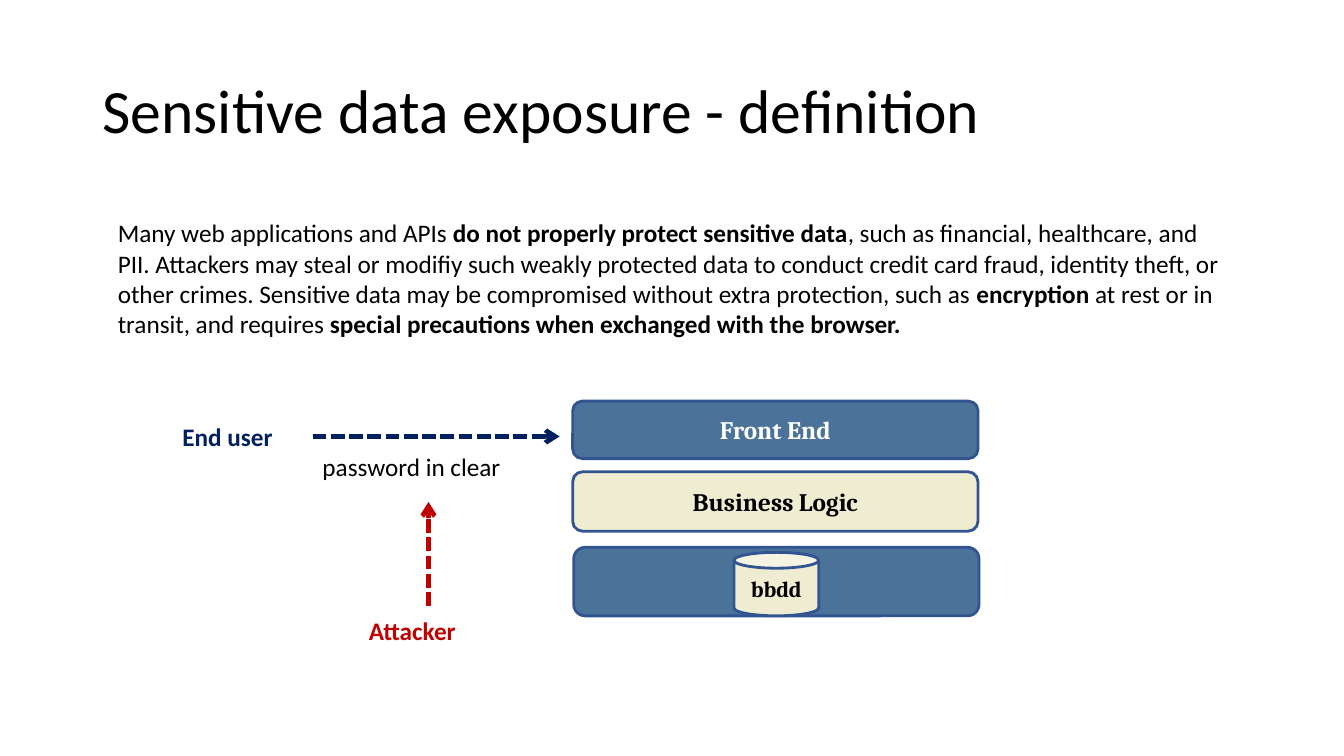
"""Build the slide that defines sensitive data exposure."""
from dataclasses import dataclass
from typing import Any

from lxml.etree import SubElement
from pptx import Presentation
from pptx.dml.color import RGBColor
from pptx.enum.dml import MSO_LINE
from pptx.enum.shapes import MSO_CONNECTOR, MSO_SHAPE
from pptx.enum.text import MSO_ANCHOR, PP_ALIGN
from pptx.oxml.ns import qn
from pptx.util import Inches, Pt

BLACK, WHITE, NAVY, RED = "000000", "FFFFFF", "002060", "C00000"
STEEL, CREAM, OUTLINE = "4B7399", "EFEDD1", "325491"


@dataclass(frozen=True)
class Box:
    left: float
    top: float
    width: float
    height: float

    def lengths(self) -> list[int]:
        return [Inches(value) for value in (self.left, self.top, self.width, self.height)]


@dataclass(frozen=True)
class Label:
    box: Box
    runs: tuple[tuple[str, bool], ...]
    color: str = BLACK
    size: int = 18
    anchor: MSO_ANCHOR = MSO_ANCHOR.TOP
    line_spacing: float = 1.0


@dataclass(frozen=True)
class Layer:
    box: Box
    fill: str
    text: str = ""
    color: str = BLACK
    size: int = 18
    preset: MSO_SHAPE = MSO_SHAPE.ROUNDED_RECTANGLE
    adjustment: float = 0.167


@dataclass(frozen=True)
class Arrow:
    start: tuple[float, float]
    end: tuple[float, float]
    color: str


LABELS = [
    Label(Box(1.07, 2.11, 11.16, 1.6), (
        ("Many web applications and APIs ", False),
        ("do not properly protect sensitive data", True),
        (", such as financial, healthcare, and PII. Attackers may steal or modifiy such "
         "weakly protected data to conduct credit card fraud, identity theft, or other "
         "crimes. Sensitive data may be compromised without extra protection, such as ", False),
        ("encryption", True),
        (" at rest or in transit, and requires ", False),
        ("special precautions when exchanged with the browser.", True),
    )),
    Label(Box(1.71, 4.13, 2.25, 0.4), (("End user", True),), NAVY),
    Label(Box(3.1, 4.43, 2.71, 0.4), (("password in clear", False),)),
    Label(Box(3.56, 6.06, 2.25, 0.4), (("Attacker", True),), RED),
    Label(Box(0.92, 0.4, 11.5, 1.45), (("Sensitive data exposure - definition", False),),
          size=44, anchor=MSO_ANCHOR.MIDDLE, line_spacing=0.9),
]
LAYERS = [
    Layer(Box(5.69, 5.43, 4.02, 0.68), STEEL),
    Layer(Box(7.28, 5.48, 0.84, 0.63), CREAM, "bbdd", size=16,
          preset=MSO_SHAPE.CAN, adjustment=0.25),
    Layer(Box(5.68, 4.68, 4.02, 0.59), CREAM, "Business Logic"),
    Layer(Box(5.68, 3.98, 4.02, 0.57), STEEL, "Front End", WHITE),
]
ARROWS = [
    Arrow((3.1, 4.33), (5.55, 4.33), NAVY),
    Arrow((4.25, 6.01), (4.25, 4.98), RED),
]


def rgb(color: str) -> RGBColor:
    return RGBColor.from_string(color)


def apply_format(target: Any, values: dict[str, Any]) -> None:
    for name, value in values.items():
        setattr(target, name, value)


def add_run(paragraph: Any, text: str, color: str, values: dict[str, Any]) -> None:
    run = paragraph.add_run()
    run.text = text
    apply_format(run.font, values)
    run.font.color.rgb = rgb(color)


def draw_label(slide: Any, label: Label) -> None:
    frame = slide.shapes.add_textbox(*label.box.lengths()).text_frame
    apply_format(frame, {"word_wrap": True, "vertical_anchor": label.anchor})
    paragraph = frame.paragraphs[0]
    paragraph.line_spacing = label.line_spacing
    for text, bold in label.runs:
        values = {"name": "Calibri", "size": Pt(label.size), "bold": bold}
        add_run(paragraph, text, label.color, values)


def draw_layer(group: Any, layer: Layer) -> None:
    shape = group.shapes.add_shape(layer.preset, *layer.box.lengths())
    shape.shadow.inherit = False
    shape.adjustments[0] = layer.adjustment
    shape.fill.solid()
    shape.fill.fore_color.rgb = rgb(layer.fill)
    shape.line.color.rgb = rgb(OUTLINE)
    shape.line.width = Pt(2)
    if layer.text:
        frame = shape.text_frame
        apply_format(frame, {"word_wrap": True, "vertical_anchor": MSO_ANCHOR.MIDDLE})
        paragraph = frame.paragraphs[0]
        paragraph.alignment = PP_ALIGN.CENTER
        values = {"name": "Cambria", "size": Pt(layer.size), "bold": True}
        add_run(paragraph, layer.text, layer.color, values)


def draw_arrow(slide: Any, arrow: Arrow) -> None:
    points = [Inches(value) for value in (*arrow.start, *arrow.end)]
    connector = slide.shapes.add_connector(MSO_CONNECTOR.STRAIGHT, *points)
    connector.line.color.rgb = rgb(arrow.color)
    apply_format(connector.line, {"width": Pt(3.25), "dash_style": MSO_LINE.SQUARE_DOT})
    properties = connector.element.spPr
    SubElement(properties.find(qn("a:ln")), qn("a:tailEnd"), type="arrow")
    SubElement(properties, qn("a:effectLst"))


def main() -> None:
    presentation = Presentation()
    apply_format(presentation, {"slide_width": Inches(13.33), "slide_height": Inches(7.5)})
    slide = presentation.slides.add_slide(presentation.slide_layouts[6])
    group = slide.shapes.add_group_shape()
    for layer in LAYERS:
        draw_layer(group, layer)
    for label in LABELS:
        draw_label(slide, label)
    for arrow in ARROWS:
        draw_arrow(slide, arrow)
    presentation.save("out.pptx")


if __name__ == "__main__":
    main()
